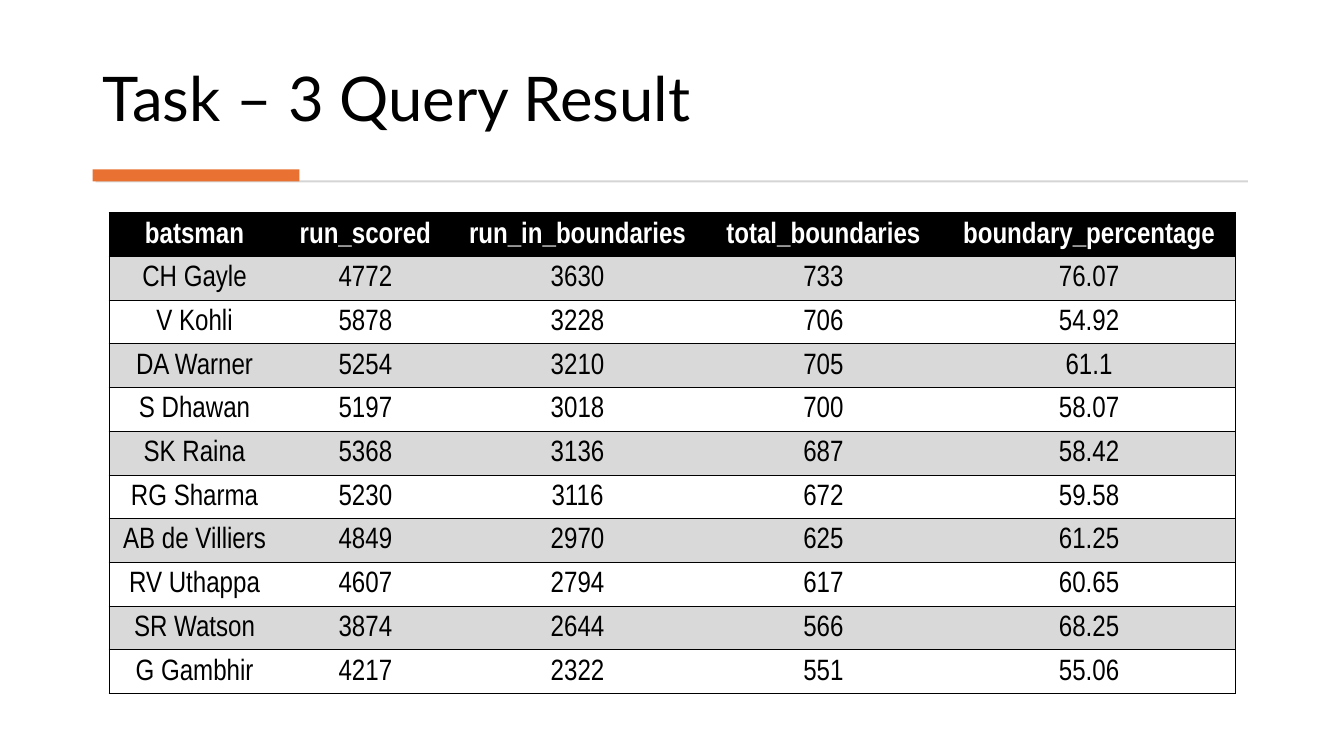
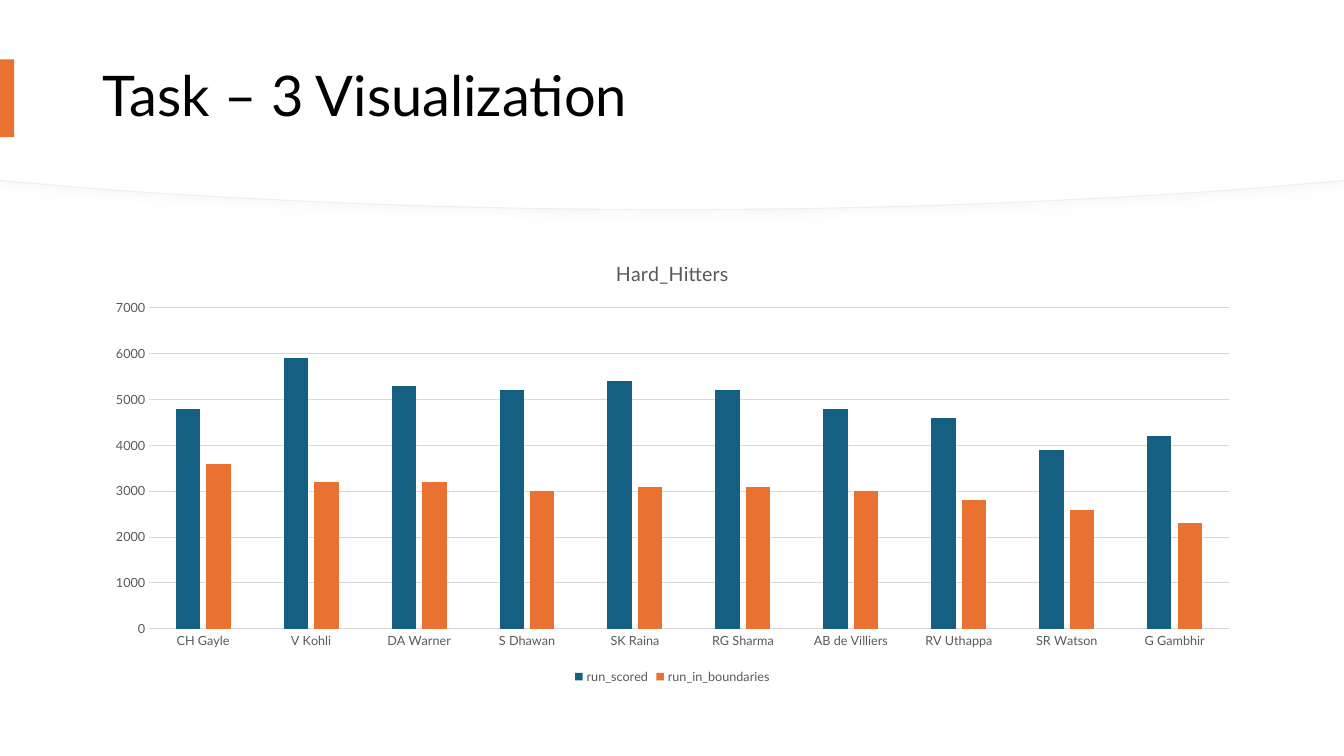
from dataclasses import dataclass

from lxml import etree
from pptx import Presentation
from pptx.chart.data import CategoryChartData
from pptx.dml.color import RGBColor
from pptx.enum.chart import XL_CHART_TYPE, XL_LEGEND_POSITION, XL_TICK_MARK
from pptx.enum.shapes import MSO_SHAPE
from pptx.enum.text import MSO_ANCHOR, PP_ALIGN
from pptx.oxml import parse_xml
from pptx.oxml.ns import nsdecls, qn
from pptx.util import Inches, Pt

RECT = MSO_SHAPE.RECTANGLE
MIDDLE, BOTTOM = MSO_ANCHOR.MIDDLE, MSO_ANCHOR.BOTTOM
LEFT, CENTER = PP_ALIGN.LEFT, PP_ALIGN.CENTER
COLUMNS = XL_CHART_TYPE.COLUMN_CLUSTERED
BELOW = XL_LEGEND_POSITION.BOTTOM
NO_TICK = XL_TICK_MARK.NONE

HEADS = ["batsman", "run_scored", "run_in_boundaries", "total_boundaries", "boundary_percentage"]
ROWS = [
    ("CH Gayle", 4772, 3630, 733, 76.07),
    ("V Kohli", 5878, 3228, 706, 54.92),
    ("DA Warner", 5254, 3210, 705, 61.1),
    ("S Dhawan", 5197, 3018, 700, 58.07),
    ("SK Raina", 5368, 3136, 687, 58.42),
    ("RG Sharma", 5230, 3116, 672, 59.58),
    ("AB de Villiers", 4849, 2970, 625, 61.25),
    ("RV Uthappa", 4607, 2794, 617, 60.65),
    ("SR Watson", 3874, 2644, 566, 68.25),
    ("G Gambhir", 4217, 2322, 551, 55.06),
]
WIDTHS = [1.7, 1.69, 2.52, 2.36, 2.91]
WIDE, HIGH = 40 / 3, 7.5
ARC = [(12.42, 1.87), (10.65, 2), (8.71, 2.08), (WIDE / 2, 2.08)]
EDGE = 1.79
STEPS = 24


@dataclass(frozen=True)
class Theme:
    font: str = "Lato"
    narrow: str = "Arial Narrow"
    black: str = "000000"
    white: str = "FFFFFF"
    orange: str = "E97132"
    blue: str = "156082"
    band: str = "D9D9D9"
    rule: str = "D5D5D5"
    rim: str = "EFEFEF"
    gray: str = "595959"
    first: float = 44
    second: float = 40
    cell: float = 21
    head: float = 14
    chart: float = 10
    label: float = 9


THEME = Theme()


def rgb(code):
    return RGBColor.from_string(code)


def style(font, name, size, color, bold=False):
    font.name, font.size, font.bold = name, Pt(size), bold
    font.color.rgb = rgb(color)


def paint(shape, color, line=None):
    shape.shadow.inherit = False
    shape.fill.solid()
    shape.fill.fore_color.rgb = rgb(color)
    if line:
        shape.line.color.rgb = rgb(line)
        shape.line.width = Pt(0.75)
    else:
        shape.line.fill.background()


def add_bar(slide, box, color):
    paint(slide.shapes.add_shape(RECT, *map(Inches, box)), color)


def set_title(slide, text, box, size, anchor):
    title = slide.shapes.title
    title.left, title.top, title.width, title.height = map(Inches, box)
    frame = title.text_frame
    frame.text, frame.vertical_anchor, frame.word_wrap = text, anchor, True
    para = frame.paragraphs[0]
    para.alignment, para.line_spacing = LEFT, 0.9
    style(para.font, THEME.font, size, THEME.black)
    slide.shapes._spTree.append(title._element)


def set_edges(cell, shown):
    props = cell._tc.get_or_add_tcPr()
    for place, side in enumerate("LRTB"):
        line = etree.Element(qn(f"a:ln{side}"), w=str(Pt(0.5)))
        if side in shown:
            fill = etree.SubElement(line, qn("a:solidFill"))
            etree.SubElement(fill, qn("a:srgbClr"), val=THEME.black)
        else:
            etree.SubElement(line, qn("a:noFill"))
        props.insert(place, line)


def fill_cell(cell, value, row, col):
    if row == 0 or row % 2:
        cell.fill.solid()
        cell.fill.fore_color.rgb = rgb(THEME.band if row else THEME.black)
    else:
        cell.fill.background()
    cell.text, cell.vertical_anchor = str(value), MIDDLE
    cell.margin_left = cell.margin_right = cell.margin_top = Inches(0.02)
    cell.margin_bottom = 0
    para = cell.text_frame.paragraphs[0]
    para.alignment = CENTER
    style(para.font, THEME.narrow, THEME.cell, THEME.black if row else THEME.white, row == 0)
    ends = {0: "L", len(HEADS) - 1: "R"}
    set_edges(cell, "TB" + ends.get(col, ""))


def add_grid(slide):
    data = [HEADS, *ROWS]
    box = map(Inches, (1.08, 2.11, sum(WIDTHS), 4.77))
    table = slide.shapes.add_table(len(data), len(HEADS), *box).table
    table.horz_banding = False
    for column, width in zip(table.columns, WIDTHS):
        column.width = Inches(width)
    for row, values in enumerate(data):
        for col, value in enumerate(values):
            fill_cell(table.cell(row, col), value, row, col)


def arc_point(t):
    weights = ((1 - t) ** 3, 3 * t * (1 - t) ** 2, 3 * t * t * (1 - t), t ** 3)
    return tuple(sum(w * p[axis] for w, p in zip(weights, ARC)) for axis in (0, 1))


def add_panel(slide, lift, line=None):
    half = [(WIDE, EDGE)] + [arc_point(step / STEPS) for step in range(STEPS + 1)]
    curve = half + [(WIDE - x, y) for x, y in reversed(half[:-1])]
    points = [(WIDE, 0)] + [(x, y - lift) for x, y in curve]
    pen = slide.shapes.build_freeform(0, 0)
    pen.add_line_segments([(Inches(x), Inches(y)) for x, y in points], close=True)
    panel = pen.convert_to_shape()
    paint(panel, THEME.white, line)
    return panel


def add_shade(shape):
    effects = shape._element.spPr.find(qn("a:effectLst"))
    effects.append(parse_xml(
        f'<a:outerShdw {nsdecls("a")} blurRad="{Pt(7)}" dist="{Pt(3)}" '
        f'dir="{45 * 60000}" algn="tl" rotWithShape="0">'
        f'<a:srgbClr val="{THEME.band}"><a:alpha val="18000"/></a:srgbClr></a:outerShdw>'))


def set_axis(axis):
    axis.major_tick_mark = axis.minor_tick_mark = NO_TICK
    style(axis.tick_labels.font, THEME.font, THEME.label, THEME.gray)


def set_line(line):
    line.color.rgb, line.width = rgb(THEME.band), Pt(0.75)


def add_bars(slide):
    data = CategoryChartData()
    data.categories = [row[0] for row in ROWS]
    for col in (1, 2):
        data.add_series(HEADS[col], [round(row[col], -2) for row in ROWS])
    box = map(Inches, (0.92, 2.39, 11.5, 4.44))
    chart = slide.shapes.add_chart(COLUMNS, *box, data).chart
    style(chart.font, THEME.font, THEME.chart, THEME.black)
    frame = chart.chart_title.text_frame
    frame.text = "Hard_Hitters"
    style(frame.paragraphs[0].font, THEME.font, THEME.head, THEME.gray)
    chart.chart_title.include_in_layout = False
    chart.has_legend = True
    chart.legend.position, chart.legend.include_in_layout = BELOW, False
    style(chart.legend.font, THEME.font, THEME.label, THEME.gray)
    cats, vals = chart.category_axis, chart.value_axis
    set_axis(cats)
    set_line(cats.format.line)
    set_axis(vals)
    vals.format.line.fill.background()
    set_line(vals.major_gridlines.format.line)
    vals.minimum_scale, vals.maximum_scale, vals.major_unit = 0, 7000, 1000
    plot = chart.plots[0]
    plot.gap_width, plot.overlap, plot.vary_by_categories = 219, -27, False
    for series, color in zip(plot.series, (THEME.blue, THEME.orange)):
        series.format.fill.solid()
        series.format.fill.fore_color.rgb = rgb(color)
        series.invert_if_negative = False


def add_result(deck, layout):
    slide = deck.slides.add_slide(layout)
    set_title(slide, "Task – 3 Query Result", (0.92, 0.28, 11.49, 1.11), THEME.first, BOTTOM)
    add_bar(slide, (0.95, 1.79, 11.43, 0.02), THEME.rule)
    add_bar(slide, (0.92, 1.68, 2.05, 0.12), THEME.orange)
    add_grid(slide)


def add_visual(deck, layout):
    slide = deck.slides.add_slide(layout)
    add_shade(add_panel(slide, 0, THEME.rim))
    add_panel(slide, 0.01)
    set_title(slide, "Task – 3 Visualization", (0.92, 0.28, 11.5, 1.39), THEME.second, MIDDLE)
    add_bar(slide, (0, 0.59, 0.14, 0.77), THEME.orange)
    add_bars(slide)


def main():
    deck = Presentation()
    deck.slide_width, deck.slide_height = Inches(WIDE), Inches(HIGH)
    layout = deck.slide_layouts[5]
    add_result(deck, layout)
    add_visual(deck, layout)
    deck.save("out.pptx")


if __name__ == "__main__":
    main()
